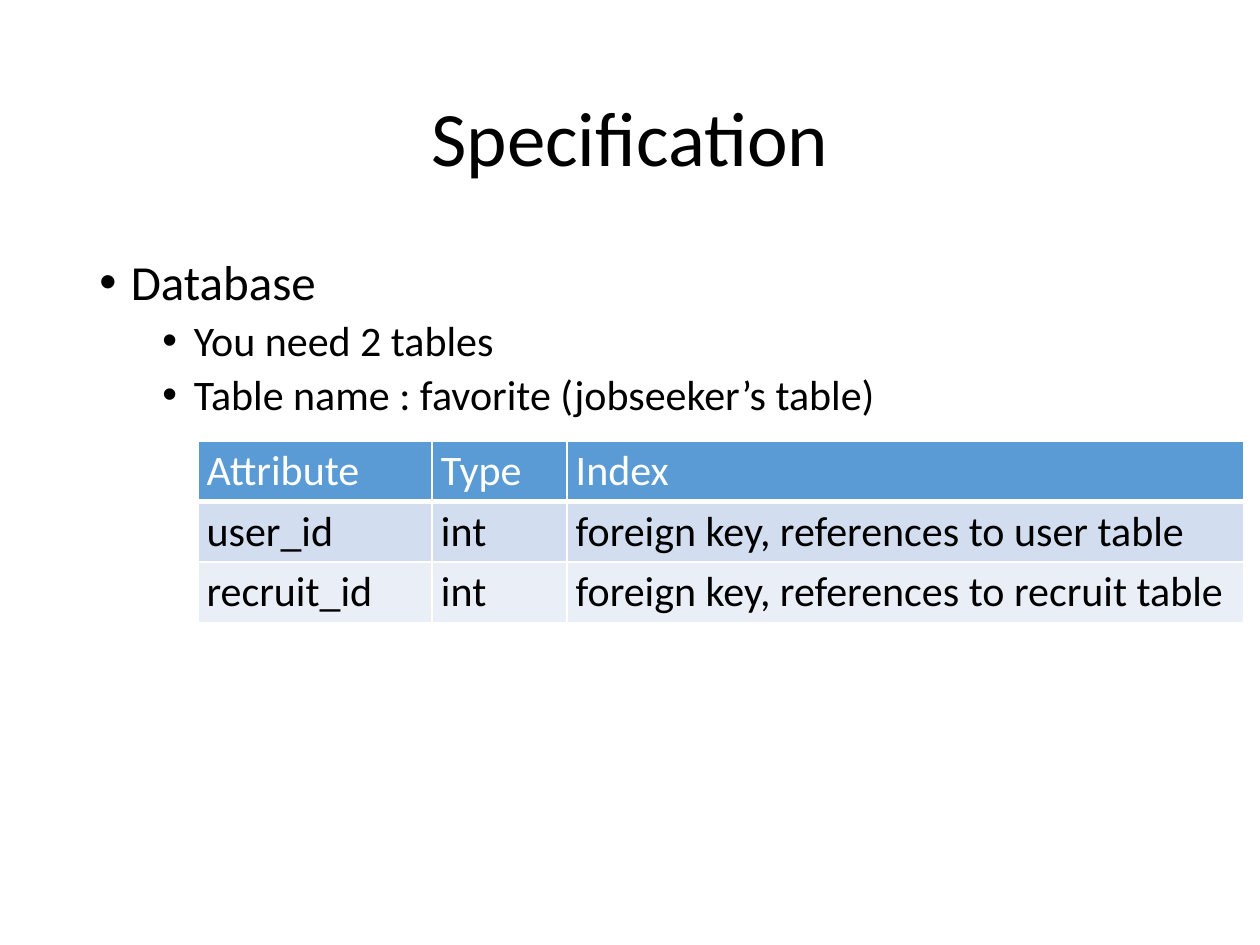
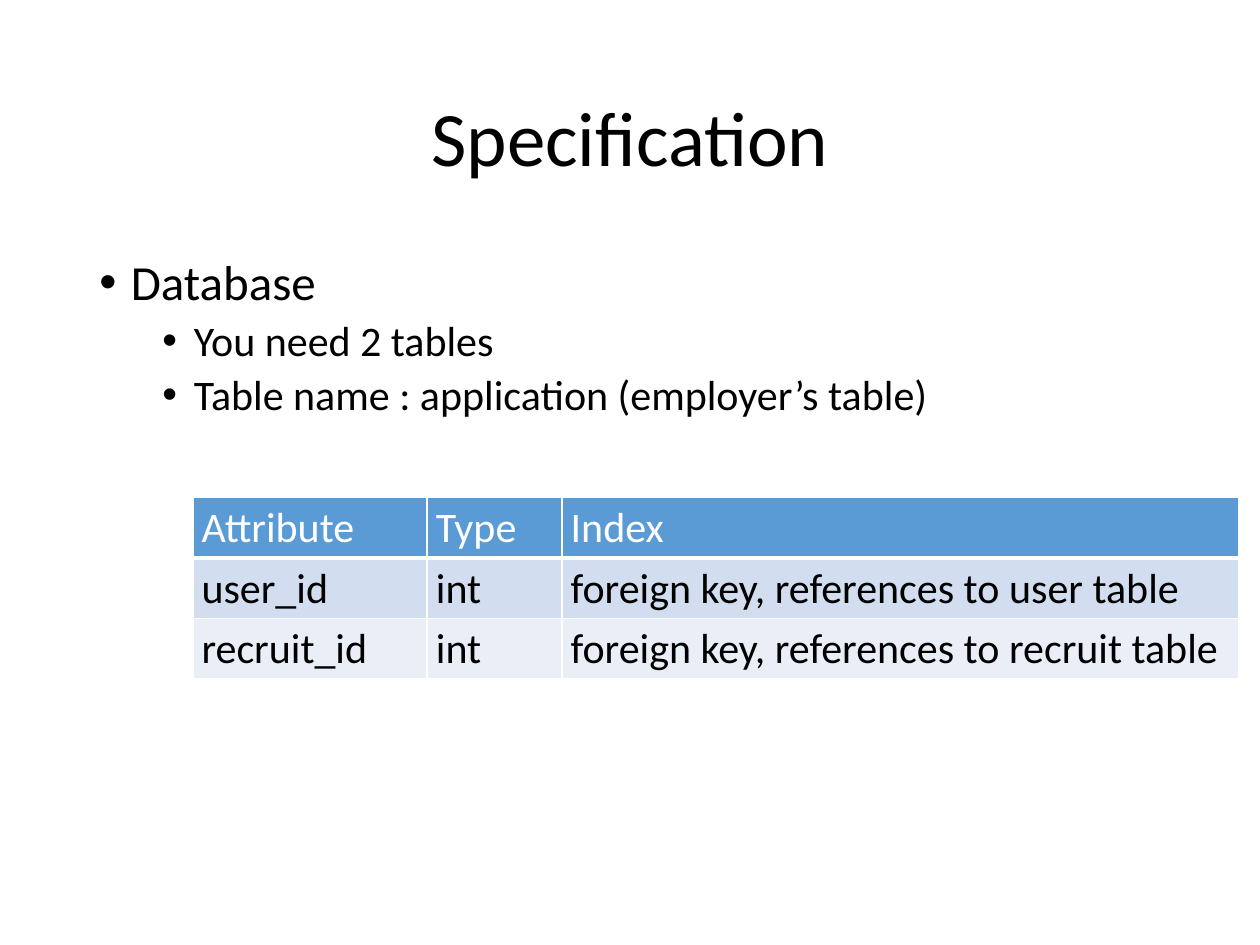
from dataclasses import dataclass
from typing import Any

from lxml.etree import SubElement
from pptx import Presentation
from pptx.dml.color import RGBColor
from pptx.enum.text import MSO_ANCHOR as Anchor, PP_ALIGN as Align
from pptx.oxml.ns import qn
from pptx.util import Inches, Pt

COLUMNS, ROWS = 100, 75
HEADER = ("Attribute", "Type", "Index")
FIELDS = [
    (f"{entity}_id", "int", f"foreign key, references to {entity} table")
    for entity in ("user", "recruit")
]


def color(value):
    return RGBColor.from_string(value)


def write(paragraph, text, *, font, size, ink, align=Align.LEFT, spacing=None, before=0):
    paragraph.alignment = align
    paragraph.space_before = Pt(before)
    if spacing:
        paragraph.line_spacing = spacing
    run = paragraph.add_run()
    run.text = text
    run.font.name = font
    run.font.size = Pt(size)
    run.font.color.rgb = color(ink)


@dataclass
class Deck:
    presentation: Any
    slide: Any = None
    font: str = "Calibri"
    ink: str = "000000"
    paper: str = "FFFFFF"
    header_fill: str = "5B9BD5"
    band_fills: tuple = ("D2DEEF", "EAEFF7")
    title_area: tuple = (6.9, 4, 86.2, 14.5)
    body_area: tuple = (6.9, 20, 86.2, 47.6)
    table_columns: tuple = (18.6, 10.7, 53.7)
    table_row: float = 4.8

    def across(self, columns):
        return round(self.presentation.slide_width * columns / COLUMNS)

    def down(self, rows):
        return round(self.presentation.slide_height * rows / ROWS)

    def place(self, left, top, width, height):
        return self.across(left), self.down(top), self.across(width), self.down(height)

    def new_slide(self):
        self.slide = self.presentation.slides.add_slide(self.presentation.slide_layouts[6])
        self.slide.background.fill.solid()
        self.slide.background.fill.fore_color.rgb = color(self.paper)

    def text_frame(self, area, anchor):
        frame = self.slide.shapes.add_textbox(*self.place(*area)).text_frame
        frame.word_wrap = True
        frame.vertical_anchor = anchor
        return frame

    def title(self, text):
        frame = self.text_frame(self.title_area, Anchor.MIDDLE)
        write(frame.paragraphs[0], text, font=self.font, size=44, ink=self.ink,
              align=Align.CENTER, spacing=0.9)

    def outline(self, topic, points):
        frame = self.text_frame(self.body_area, Anchor.TOP)
        self.bullet(frame.paragraphs[0], topic, level=0)
        for point in points:
            self.bullet(frame.add_paragraph(), point, level=1)

    def bullet(self, paragraph, text, level):
        size, before = ((28, 10), (24, 5))[level]
        paragraph.level = level
        write(paragraph, text, font=self.font, size=size, ink=self.ink,
              spacing=0.9, before=before)
        properties = paragraph._p.get_or_add_pPr()
        properties.set("marL", str(Inches(0.25 + 0.5 * level)))
        properties.set("indent", str(Inches(-0.25)))
        SubElement(properties, qn("a:buFont"), typeface="Arial")
        SubElement(properties, qn("a:buChar"), char="•")

    def table(self, left, top, records):
        area = (left, top, sum(self.table_columns), self.table_row * len(records))
        grid = self.slide.shapes.add_table(
            len(records), len(self.table_columns), *self.place(*area)).table
        for column, width in zip(grid.columns, self.table_columns):
            column.width = self.across(width)
        for row_index, record in enumerate(records):
            grid.rows[row_index].height = self.down(self.table_row)
            for column_index, text in enumerate(record):
                self.cell(grid.cell(row_index, column_index), text, row_index)

    def cell(self, cell, text, row_index):
        is_header = row_index == 0
        cell.margin_left = cell.margin_right = Inches(0.07)
        cell.margin_top = cell.margin_bottom = Inches(0.04)
        write(cell.text_frame.paragraphs[0], text, font=self.font, size=24,
              ink=self.paper if is_header else self.ink)
        for side in "LRTB":
            self.border(cell, side, 3 if is_header and side == "B" else 1)
        cell.fill.solid()
        cell.fill.fore_color.rgb = color(
            self.header_fill if is_header else self.band_fills[(row_index - 1) % 2])

    def border(self, cell, side, width):
        line = SubElement(cell._tc.get_or_add_tcPr(), qn(f"a:ln{side}"), w=str(Pt(width)))
        SubElement(SubElement(line, qn("a:solidFill")), qn("a:srgbClr"), val=self.paper)


def main():
    presentation = Presentation()
    presentation.slide_width, presentation.slide_height = Inches(10), Inches(7.5)
    deck = Deck(presentation)
    for table_name, owner, left, top in (
        ("favorite", "jobseeker", 15.7, 35),
        ("application", "employer", 15.3, 39.5),
    ):
        deck.new_slide()
        deck.title("Specification")
        deck.outline("Database", (
            "You need 2 tables",
            f"Table name : {table_name} ({owner}’s table)",
        ))
        deck.table(left, top, [HEADER, *FIELDS])
    presentation.save("out.pptx")


if __name__ == "__main__":
    main()
